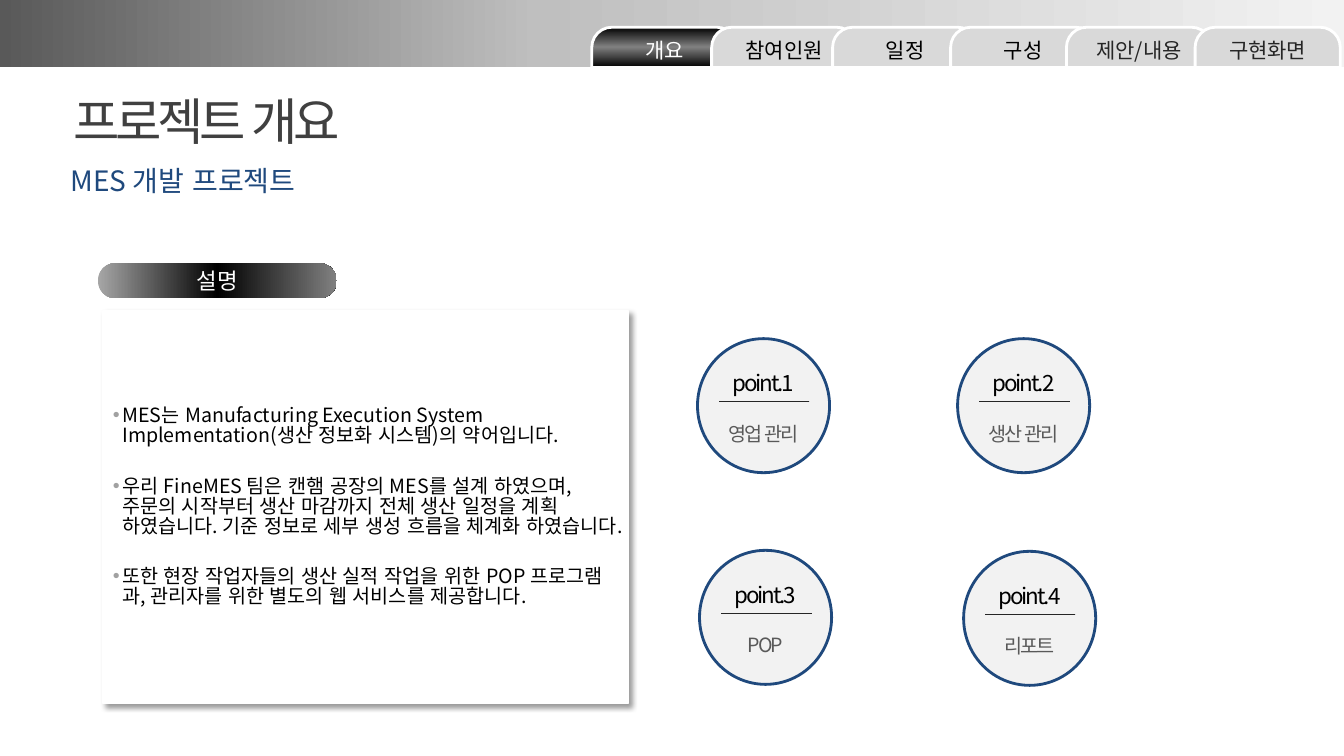
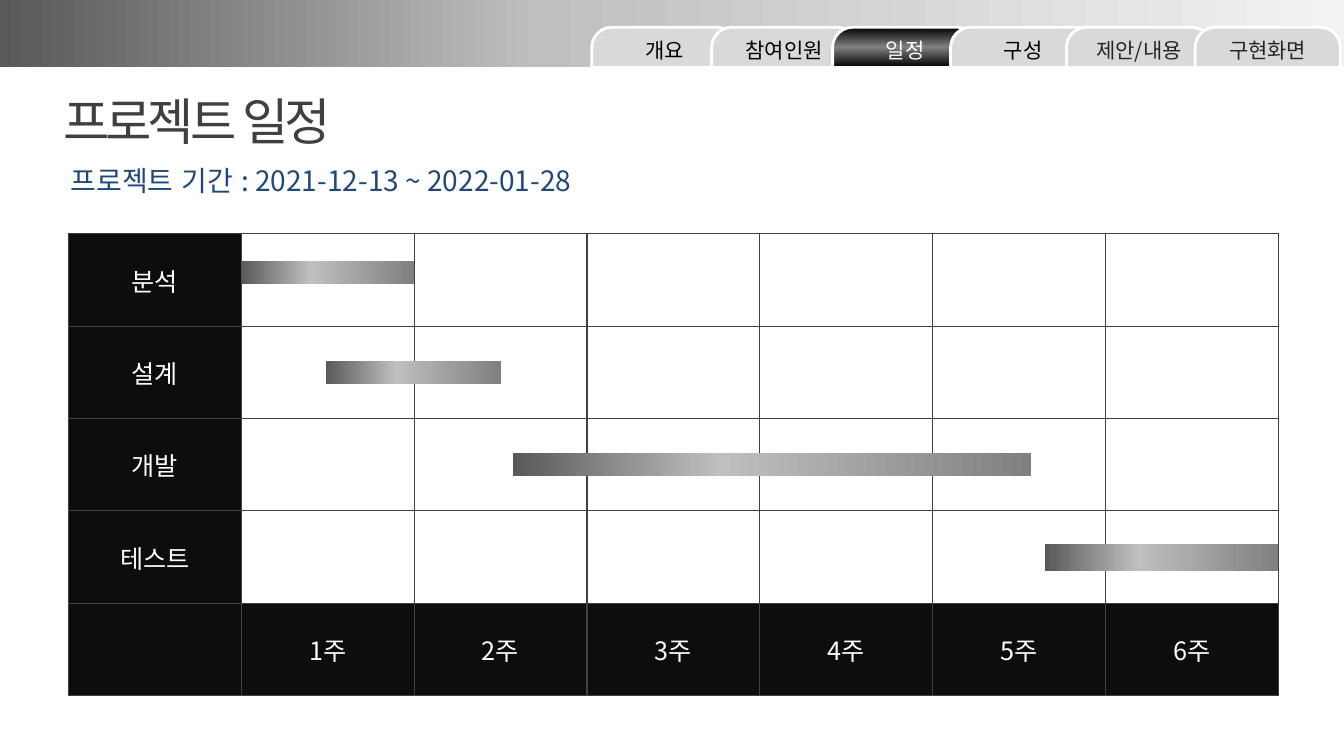
from lxml import etree
from pptx import Presentation
from pptx.dml.color import RGBColor
from pptx.enum.dml import MSO_LINE
from pptx.enum.lang import MSO_LANGUAGE_ID
from pptx.enum.shapes import MSO_CONNECTOR, MSO_SHAPE
from pptx.enum.text import MSO_ANCHOR, MSO_AUTO_SIZE, PP_ALIGN
from pptx.oxml.ns import qn
from pptx.util import Inches, Pt

RECT = MSO_SHAPE.RECTANGLE
PILL = MSO_SHAPE.ROUNDED_RECTANGLE
TAB = MSO_SHAPE.ROUND_2_SAME_RECTANGLE
CIRCLE = MSO_SHAPE.OVAL
STRAIGHT = MSO_CONNECTOR.STRAIGHT
DOTTED = MSO_LINE.ROUND_DOT
LEFT, CENTER = PP_ALIGN.LEFT, PP_ALIGN.CENTER
TOP, MIDDLE = MSO_ANCHOR.TOP, MSO_ANCHOR.MIDDLE
FIXED = MSO_AUTO_SIZE.NONE
KOREAN = MSO_LANGUAGE_ID.KOREAN

FONT = "Noto Sans CJK KR"
WHITE = RGBColor(0xFF, 0xFF, 0xFF)
BLACK = RGBColor(0x00, 0x00, 0x00)
NIGHT = RGBColor(0x0D, 0x0D, 0x0D)
INK = RGBColor(0x26, 0x26, 0x26)
CHARCOAL = RGBColor(0x40, 0x40, 0x40)
SLATE = RGBColor(0x59, 0x59, 0x59)
GRAY = RGBColor(0x80, 0x80, 0x80)
BULLET = RGBColor(0xA1, 0xA1, 0xA1)
SILVER = RGBColor(0xA6, 0xA6, 0xA6)
STEEL = RGBColor(0xBF, 0xBF, 0xBF)
MIST = RGBColor(0xD9, 0xD9, 0xD9)
PALE = RGBColor(0xF2, 0xF2, 0xF2)
NAVY = RGBColor(0x1F, 0x49, 0x7D)

BAND_FADE = ((0, SLATE), (40, STEEL), (100, PALE))
BAR_FADE = ((0, SLATE), (40, STEEL), (100, GRAY))
PILL_FADE = ((0, SILVER), (50, BLACK), (100, GRAY))
ACTIVE_FADE = ((0, BLACK), (51, GRAY), (100, BLACK))

TABS = (
    ("개요", 44.03, BLACK),
    ("참여인원", 52.95, BLACK),
    ("일정", 61.95, BLACK),
    ("구성", 70.73, BLACK),
    ("제안/내용", 79.35, INK),
    ("구현화면", 88.92, INK),
)
DESCRIPTION = (
    "MES는 Manufacturing Execution System Implementation(생산 정보화 시스템)의 약어입니다.",
    "우리 FineMES 팀은 캔햄 공장의 MES를 설계 하였으며, 주문의 시작부터 생산 마감까지 "
    "전체 생산 일정을 계획 하였습니다. 기준 정보로 세부 생성 흐름을 체계화 하였습니다.",
    "또한 현장 작업자들의 생산 실적 작업을 위한 POP 프로그램과, "
    "관리자를 위한 별도의 웹 서비스를 제공합니다.",
)
POINTS = (
    ("point.1", "영업 관리", 51.9, 44.8),
    ("point.2", "생산 관리", 71.25, 44.8),
    ("point.3", "POP", 52.05, 72.8),
    ("point.4", "리포트", 71.7, 72.93),
)
WEEKS = 6
PHASES = (
    ("분석", 0, 1, 0.42, 0.25),
    ("설계", 0.49, 1.5, 0.5, 0.25),
    ("개발", 1.57, 4.57, 0.5, 0.25),
    ("테스트", 4.65, 6, 0.5, 0.29),
)


def child(parent, tag, **attributes):
    return etree.SubElement(parent, qn(tag), attributes)


def colored(parent, color):
    return child(parent, "a:srgbClr", val=str(color))


def write(frame, *texts, size, color=BLACK, align=CENTER, anchor=MIDDLE,
          tracking=0, line_spacing=None, gap=0, hang=None, bullet=None, inset=0):
    frame.word_wrap = True
    frame.auto_size = FIXED
    frame.vertical_anchor = anchor
    frame.margin_left = inset
    frame.margin_right = inset // 2
    frame.margin_top = frame.margin_bottom = 0
    for index, text in enumerate(texts):
        paragraph = frame.add_paragraph() if index else frame.paragraphs[0]
        properties = paragraph._p.get_or_add_pPr()
        properties.set("marL", str(hang or 0))
        properties.set("indent", str(-(hang or 0)))
        if bullet:
            colored(child(properties, "a:buClr"), bullet)
            child(properties, "a:buChar", char="•")
        else:
            child(properties, "a:buNone")
        paragraph.alignment = align
        paragraph.space_before = Pt(gap if index else 0)
        paragraph.space_after = Pt(0)
        if line_spacing:
            paragraph.line_spacing = line_spacing
        run = paragraph.add_run()
        run.text = text
        run.font.size = Pt(size)
        run.font.color.rgb = color
        run.font.name = FONT
        run.font.language_id = KOREAN
        marks = run._r.get_or_add_rPr()
        marks.set("spc", str(int(tracking * 100)))
        child(marks, "a:ea", typeface=FONT)


class Deck:
    def __init__(self):
        self.show = Presentation()
        self.show.slide_width = Inches(13.33)
        self.show.slide_height = Inches(7.5)
        self.slide = None

    def x(self, share):
        return int(self.show.slide_width * share / 100)

    def y(self, share):
        return int(self.show.slide_height * share / 100)

    def area(self, left, top, width, height):
        return self.x(left), self.y(top), self.x(width), self.y(height)

    def start(self, layout, title, title_left, subtitle, active):
        self.slide = self.show.slides.add_slide(self.show.slide_layouts[layout])
        self.shape(RECT, (0, 0, 100, 8.93), BAND_FADE)
        heading = self.placeholder(0, (title_left, 11.87, 40, 9.47))
        write(heading.text_frame, title, size=36, color=CHARCOAL,
              align=LEFT, anchor=TOP, tracking=-3)
        lead = self.placeholder(1, (5.25, 21.6, 80, 4.4))
        write(lead.text_frame, subtitle, size=20, color=NAVY, align=LEFT)
        for name, left, color in TABS:
            chosen = name == active
            tab = self.shape(TAB, (left, 3.6, 10.8, 5.33),
                             ACTIVE_FADE if chosen else MIST,
                             line=WHITE, angle=90, adjust=0.5)
            write(tab.text_frame, name, size=15, color=WHITE if chosen else color)

    def placeholder(self, index, area):
        holder = self.slide.placeholders[index]
        holder.left, holder.top, holder.width, holder.height = self.area(*area)
        return holder

    def shape(self, kind, area, fill, line=None, weight=2, angle=0, adjust=None):
        shape = self.slide.shapes.add_shape(kind, *self.area(*area))
        shape.shadow.inherit = False
        if adjust is not None:
            shape.adjustments[0] = adjust
        self.paint(shape, fill, line, weight, angle)
        return shape

    def paint(self, shape, fill, line=None, weight=2, angle=0):
        if isinstance(fill, RGBColor):
            shape.fill.solid()
            shape.fill.fore_color.rgb = fill
        else:
            shape.fill.gradient()
            shape.fill.gradient_angle = angle
            stops = shape.element.spPr.find(".//" + qn("a:gsLst"))
            for stop in list(stops):
                stops.remove(stop)
            for position, color in fill:
                colored(child(stops, "a:gs", pos=str(position * 1000)), color)
        if line is None:
            shape.line.fill.background()
        else:
            shape.line.color.rgb = line
            shape.line.width = Pt(weight)

    def panel(self, index, area, texts):
        panel = self.placeholder(index, area)
        self.paint(panel, WHITE, WHITE, 1)
        panel.shadow.inherit = False
        effects = panel.element.spPr.find(qn("a:effectLst"))
        shadow = child(effects, "a:outerShdw", blurRad=str(Pt(4)), dist=str(Pt(3)),
                       dir="2700000", algn="tl", rotWithShape="0")
        child(colored(shadow, BLACK), "a:alpha", val="40000")
        write(panel.text_frame, *texts, size=14, align=LEFT, line_spacing=0.85,
              gap=22, hang=self.x(0.7), bullet=BULLET, inset=self.x(0.75))

    def label(self, text, area, **style):
        box = self.slide.shapes.add_textbox(*self.area(*area))
        write(box.text_frame, text, **style)

    def rule(self, left, right, top):
        rule = self.slide.shapes.add_connector(
            STRAIGHT, self.x(left), self.y(top), self.x(right), self.y(top))
        rule.line.color.rgb = INK
        rule.line.width = Pt(0.25)
        rule.line.dash_style = DOTTED
        child(rule.element.spPr, "a:effectLst")

    def point(self, heading, topic, left, top):
        self.shape(CIRCLE, (left, top, 9.83, 17.73), PALE, line=NAVY)
        self.label(heading, (left, top + 3.35, 9.83, 4.93), size=16, tracking=-1.5)
        self.rule(left + 1.6, left + 8.3, top + 8.27)
        self.label(topic, (left, top + 9.73, 9.83, 5.6), size=14,
                   color=SLATE, tracking=-1.5)

    def schedule(self, area):
        left, top, width, height = area
        column, row = width / (WEEKS + 1), height / (len(PHASES) + 1)
        footer = [""] + [f"{week}주" for week in range(1, WEEKS + 1)]
        rows = [[phase[0]] + [""] * WEEKS for phase in PHASES] + [footer]
        table = self.slide.shapes.add_table(
            len(rows), len(footer), *self.area(*area)).table
        table.first_row = table.horz_banding = False
        for r, texts in enumerate(rows):
            for c, text in enumerate(texts):
                dark = c == 0 or r == len(PHASES)
                self.cell(table.cell(r, c), text, NIGHT if dark else WHITE)
        for r, (_, begin, end, middle, thickness) in enumerate(PHASES):
            self.shape(RECT, (left + column * (1 + begin),
                              top + row * (r + middle - thickness / 2),
                              column * (end - begin), row * thickness), BAR_FADE)

    def cell(self, cell, text, fill):
        properties = cell._tc.get_or_add_tcPr()
        for side in "LRTB":
            border = child(properties, f"a:ln{side}", w=str(Pt(1)))
            colored(child(border, "a:solidFill"), CHARCOAL)
        cell.fill.solid()
        cell.fill.fore_color.rgb = fill
        cell.vertical_anchor = MIDDLE
        if text:
            write(cell.text_frame, text, size=18, color=WHITE)


def main():
    deck = Deck()

    deck.start(3, "프로젝트 개요", 5.45, "MES 개발 프로젝트", "개요")
    deck.panel(2, (7.65, 41.07, 39.08, 52), DESCRIPTION)
    caption = deck.shape(PILL, (7.28, 34.8, 17.78, 4.67), PILL_FADE, adjust=0.5)
    write(caption.text_frame, "설명", size=16, color=WHITE)
    for point in POINTS:
        deck.point(*point)

    deck.start(1, "프로젝트 일정", 4.73,
               "프로젝트 기간 : 2021-12-13 ~ 2022-01-28", "일정")
    deck.schedule((5.1, 30.93, 90, 61.1))

    deck.show.save("out.pptx")


if __name__ == "__main__":
    main()
